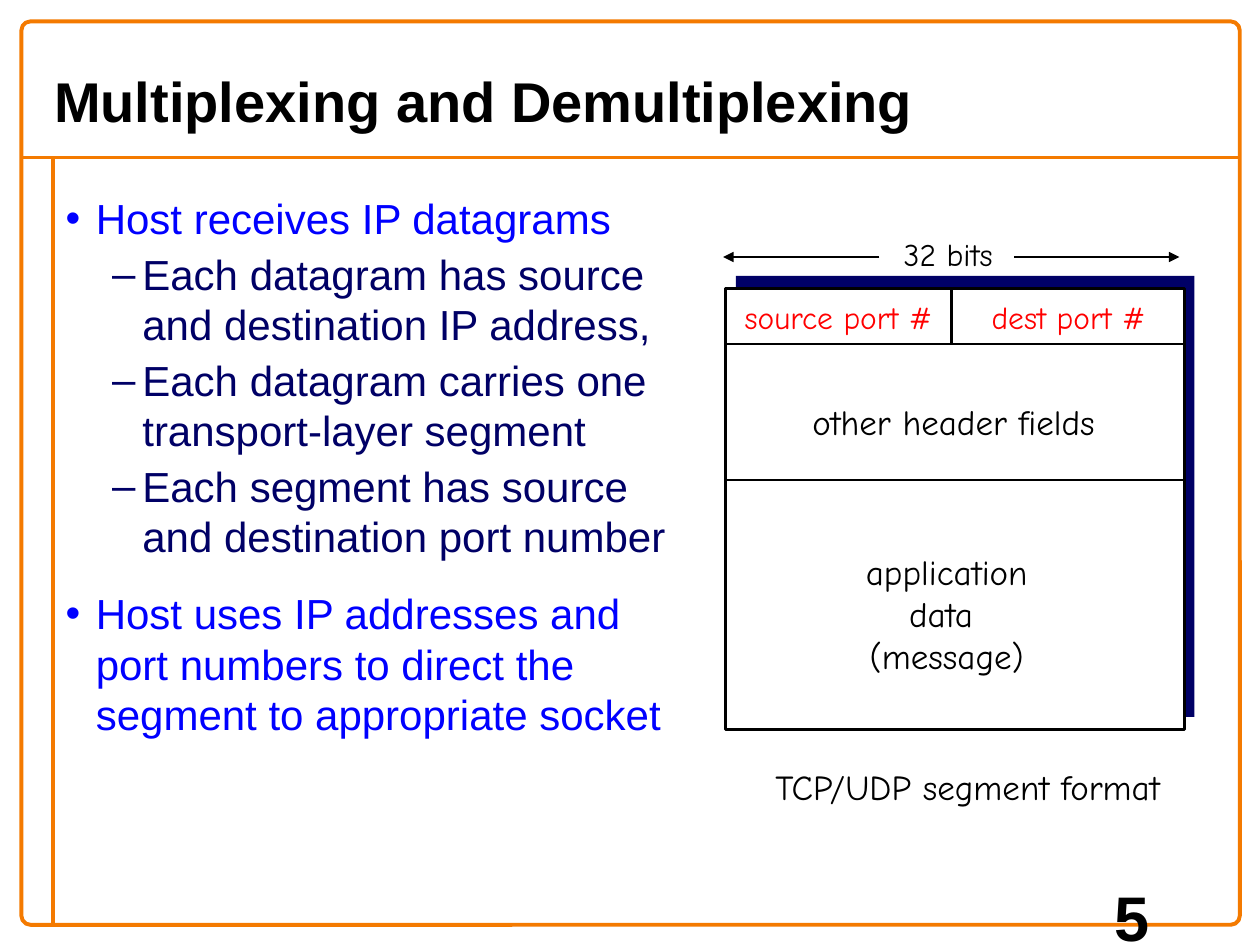
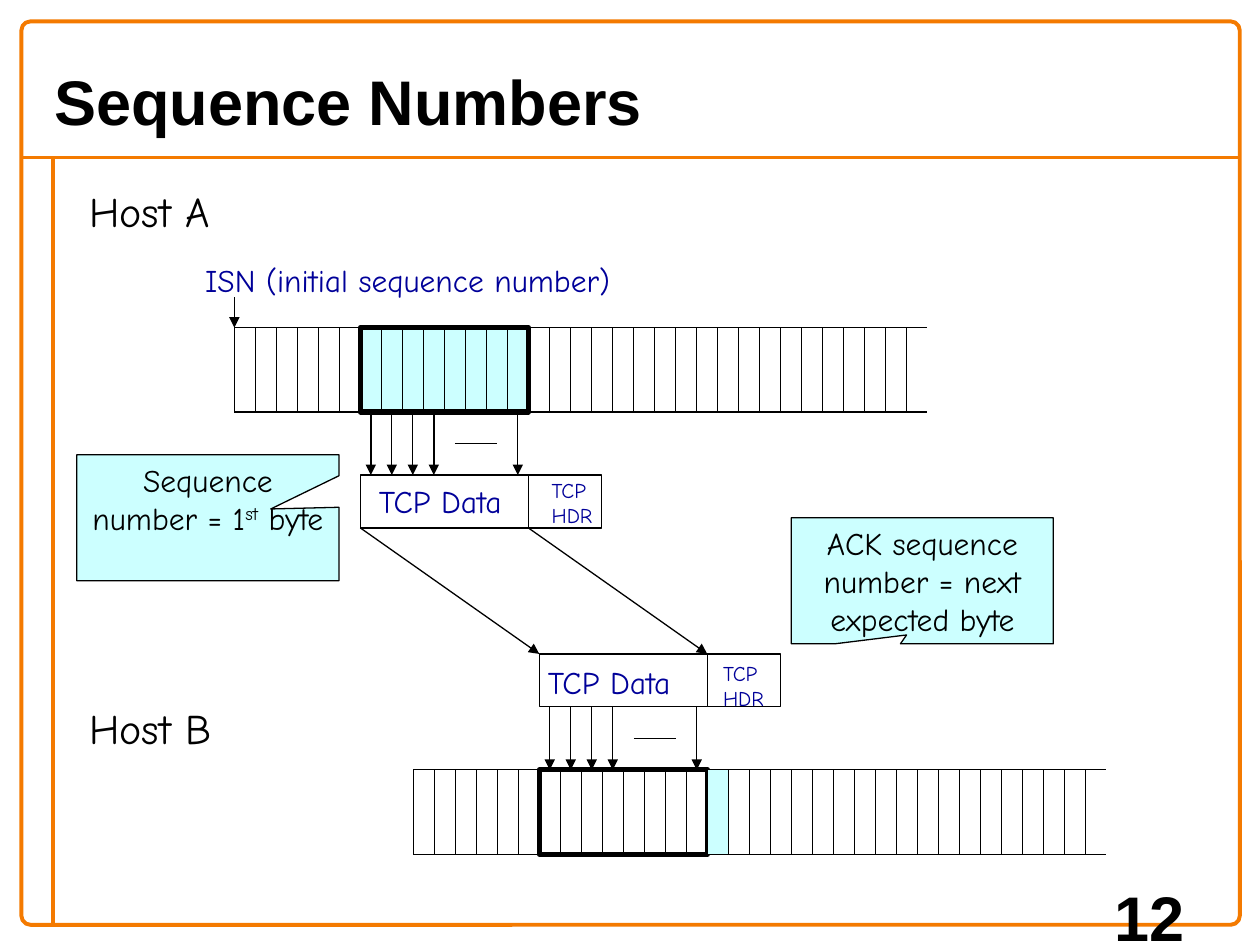
"""Build two slides on transport-layer segments and sequence numbers."""
from lxml import etree
from pptx import Presentation
from pptx import util as u
from pptx.dml.color import RGBColor
from pptx.enum import shapes, text
from pptx.oxml.ns import qn

ORANGE = RGBColor(0xF4, 0x7A, 0x00)
BLACK = RGBColor(0x00, 0x00, 0x00)
WHITE = RGBColor(0xFF, 0xFF, 0xFF)
RED = RGBColor(0xFF, 0x00, 0x00)
BLUE = RGBColor(0x00, 0x00, 0xFF)
NAVY = RGBColor(0x00, 0x00, 0x66)
INK = RGBColor(0x00, 0x00, 0x99)
CYAN = RGBColor(0xCC, 0xFF, 0xFF)

SANS = "Arial"
HAND = "Comic Neue"
LEFT = text.PP_ALIGN.LEFT
CENTER = text.PP_ALIGN.CENTER
RECTANGLE = shapes.MSO_SHAPE.RECTANGLE
CALLOUT = shapes.MSO_SHAPE.RECTANGULAR_CALLOUT

CELL = 1 / 6
CELL_COUNT = 33
STREAM_HEIGHT = 0.67
FIRST_DATA_CELL = 6
DATA_CELLS = 8
DATA_WIDTH = DATA_CELLS * CELL
PACKET_HEIGHT = 0.42
HEADER_WIDTH = 0.58


def inches(*lengths):
    """Convert several lengths to Inches."""
    return [u.Inches(length) for length in lengths]


def add_run(paragraph, content, size, color, font=HAND, bold=False):
    """Append one formatted run to a paragraph."""
    run = paragraph.add_run()
    run.text = content
    run.font.name = font
    run.font.size = u.Pt(size)
    run.font.bold = bold
    run.font.color.rgb = color
    return run


def prepare_frame(shape, anchor=text.MSO_ANCHOR.TOP):
    """Give a text frame wrapping, a fixed size and an anchor."""
    frame = shape.text_frame
    frame.word_wrap = True
    frame.auto_size = text.MSO_AUTO_SIZE.NONE
    frame.vertical_anchor = anchor
    return frame


def add_label(slide, box, lines, size, color=BLACK, align=LEFT, font=HAND, bold=False):
    """Add a text box with one paragraph for each line."""
    frame = prepare_frame(slide.shapes.add_textbox(*inches(*box)))
    for index, line in enumerate(lines):
        paragraph = frame.add_paragraph() if index else frame.paragraphs[0]
        paragraph.alignment = align
        add_run(paragraph, line, size, color, font, bold)


def add_box(slide, box, fill=None, line=BLACK, width=0.75, kind=RECTANGLE):
    """Add a preset shape with optional fill and line."""
    shape = slide.shapes.add_shape(kind, *inches(*box))
    shape.shadow.inherit = False
    if fill is None:
        shape.fill.background()
    else:
        shape.fill.solid()
        shape.fill.fore_color.rgb = fill
    if line is None:
        shape.line.fill.background()
    else:
        shape.line.color.rgb = line
        shape.line.width = u.Pt(width)
    return shape


def add_line(slide, start, end, color=BLACK, width=0.75, arrow=False):
    """Add a straight line, with an arrowhead at its end if wanted."""
    line = slide.shapes.add_connector(shapes.MSO_CONNECTOR.STRAIGHT, *inches(*start, *end))
    line.line.color.rgb = color
    line.line.width = u.Pt(width)
    if arrow:
        etree.SubElement(line.line._get_or_add_ln(), qn("a:tailEnd"), type="triangle")
    etree.SubElement(line._element.spPr, qn("a:effectLst"))


def add_callout(slide, box, tip, pieces):
    """Add a cyan callout whose runs may be superscript."""
    shape = add_box(slide, box, CYAN, kind=CALLOUT)
    shape.adjustments[0], shape.adjustments[1] = tip
    paragraph = prepare_frame(shape).paragraphs[0]
    paragraph.alignment = CENTER
    for content, raised in pieces:
        run = add_run(paragraph, content, 18, BLACK)
        if raised:
            run.font._element.set("baseline", "30000")


def add_base_slide(presentation, layout, title, title_size, number):
    """Add a slide with the shared frame, title and page number."""
    slide = presentation.slides.add_slide(presentation.slide_layouts[layout])
    add_line(slide, (0.17, 1.25), (9.83, 1.25), ORANGE, 2.25)
    add_line(slide, (0.42, 1.25), (0.42, 7.33), ORANGE, 2.25)
    frame = add_box(slide, (0.17, 0.17, 9.67, 7.17), None, ORANGE, 2.25,
                    shapes.MSO_SHAPE.ROUNDED_RECTANGLE)
    frame.adjustments[0] = 0.01
    add_label(slide, (8.75, 6.92, 1, 0.41), [number], 36, font=SANS, bold=True)
    holder = slide.shapes.title
    holder.left, holder.top, holder.width, holder.height = inches(0.33, 0.42, 8.82, 0.75)
    paragraph = prepare_frame(holder, text.MSO_ANCHOR.MIDDLE).paragraphs[0]
    paragraph.alignment = LEFT
    add_run(paragraph, title, title_size, BLACK, SANS, True)
    return slide


def set_bullet(paragraph, mark, color, margin):
    """Set the bullet mark, its colour and a hanging indent."""
    properties = paragraph._p.get_or_add_pPr()
    properties.set("marL", str(u.Inches(margin)))
    properties.set("indent", str(u.Inches(-0.24)))
    bullet_color = etree.SubElement(properties, qn("a:buClr"))
    etree.SubElement(bullet_color, qn("a:srgbClr"), val=str(color))
    etree.SubElement(properties, qn("a:buChar"), char=mark)


def fill_body(slide, box, items):
    """Fill the body placeholder with (level, space before, text) items."""
    styles = [("•", BLUE, 0.24), ("–", NAVY, 0.61)]
    body = slide.placeholders[1]
    body.left, body.top, body.width, body.height = inches(*box)
    frame = prepare_frame(body)
    for index, (level, space, content) in enumerate(items):
        paragraph = frame.add_paragraph() if index else frame.paragraphs[0]
        mark, color, margin = styles[level]
        paragraph.level = level
        paragraph.space_before = u.Pt(space)
        set_bullet(paragraph, mark, color, margin)
        add_run(paragraph, content, 24, color, SANS)


def add_segment_format(slide):
    """Draw the segment layout with its width arrow and caption."""
    left, top, width, height = 5.76, 2.29, 3.64, 3.5
    right = left + width
    add_box(slide, (5.84, 2.19, width, height), NAVY, None)
    add_box(slide, (left, top, width, height), WHITE, width=1.5)
    for row in (2.73, 3.81):
        add_line(slide, (left, row), (right, row), width=1.5)
    add_line(slide, (7.55, 2.73), (7.55, top), width=1.5)
    for start, end in ((8.05, 9.36), (6.98, 5.74)):
        add_line(slide, (start, 2.04), (end, 2.04), width=1.5, arrow=True)
    for box, lines, size, color in [
        ((5.7, 2.32, 1.91, 0.4), ["source port #"], 18, RED),
        ((7.67, 2.32, 1.62, 0.4), ["dest port #"], 18, RED),
        ((7, 1.82, 1.05, 0.4), ["32 bits"], 18, BLACK),
        ((6.65, 4.32, 1.73, 1.1), ["application", "data ", "(message)"], 20, BLACK),
        ((6.15, 3.13, 2.84, 0.44), ["other header fields"], 20, BLACK),
        ((5.82, 6.03, 3.72, 0.44), ["TCP/UDP segment format"], 20, BLACK),
    ]:
        add_label(slide, box, lines, size, color, CENTER)


def add_stream(slide, left, top, fill=None):
    """Draw a byte stream with its data cells outlined."""
    bottom = top + STREAM_HEIGHT
    data_left = left + FIRST_DATA_CELL * CELL
    add_box(slide, (data_left, top, DATA_WIDTH, STREAM_HEIGHT), fill, width=3)
    for edge in (top, bottom):
        add_line(slide, (left, edge), (left + CELL_COUNT * CELL, edge))
    for index in range(CELL_COUNT):
        x = left + index * CELL
        add_line(slide, (x, top), (x, bottom))


def add_byte_arrows(slide, stream_left, top, bottom):
    """Draw arrows for the first four bytes and the last, with a dash between."""
    first = stream_left + (FIRST_DATA_CELL + 0.5) * CELL
    for index in (0, 1, 2, 3, DATA_CELLS - 1):
        x = first + index * CELL
        add_line(slide, (x, top), (x, bottom), arrow=True)
    middle = (top + bottom) / 2
    add_line(slide, (first + 4 * CELL, middle), (first + 6 * CELL, middle))


def add_packet(slide, left, top, data_label, header_label):
    """Draw a TCP packet with labels at the given positions."""
    add_box(slide, (left, top, DATA_WIDTH, PACKET_HEIGHT), WHITE)
    add_box(slide, (left + DATA_WIDTH, top, HEADER_WIDTH, PACKET_HEIGHT), WHITE)
    add_label(slide, (*data_label, 1.34, 0.4), ["TCP Data"], 18, INK)
    add_label(slide, (*header_label, 0.57, 0.5), ["TCP", "HDR"], 12, INK)


def build_multiplexing(presentation):
    """Build the multiplexing slide."""
    slide = add_base_slide(presentation, 1, "Multiplexing and Demultiplexing", 32, "5")
    fill_body(slide, (0.42, 1.48, 5.08, 5.5), [
        (0, 0, "Host receives IP datagrams"),
        (1, 3, "Each datagram has source and destination IP address,"),
        (1, 3, "Each datagram carries one transport-layer segment"),
        (1, 3, "Each segment has source and destination port number"),
        (0, 15, "Host uses IP addresses and port numbers to direct the "
                "segment to appropriate socket"),
    ])
    add_segment_format(slide)


def build_sequence_numbers(presentation):
    """Build the sequence number slide."""
    slide = add_base_slide(presentation, 5, "Sequence Numbers", 36, "12")
    sender_left, sender_top = 1.86, 2.6
    receiver_left, receiver_top = 3.28, 6.11
    sent_top, received_top = 3.77, 5.19
    sent_left = sender_left + FIRST_DATA_CELL * CELL
    received_left = receiver_left + FIRST_DATA_CELL * CELL
    sent_bottom = sent_top + PACKET_HEIGHT

    add_stream(slide, sender_left, sender_top, CYAN)
    add_stream(slide, receiver_left, receiver_top)
    add_box(slide, (received_left + DATA_WIDTH, receiver_top, CELL, STREAM_HEIGHT), CYAN)
    add_packet(slide, sent_left, sent_top, (2.91, 3.78), (4.28, 3.74))
    add_packet(slide, received_left, received_top, (4.25, 5.21), (5.64, 5.19))
    for offset in (0, DATA_WIDTH):
        add_line(slide, (sent_left + offset, sent_bottom),
                 (received_left + offset, received_top), arrow=True)
    add_byte_arrows(slide, sender_left, sender_top + STREAM_HEIGHT, sent_top)
    add_byte_arrows(slide, receiver_left, received_top + PACKET_HEIGHT, receiver_top)

    add_label(slide, (0.61, 1.42, 1.29, 0.5), ["Host A"], 24)
    add_label(slide, (0.61, 5.53, 1.29, 0.5), ["Host B"], 24)
    add_label(slide, (1.53, 2.02, 3.92, 0.4), ["ISN (initial sequence number)"], 18, INK)
    add_line(slide, (sender_left, 2.36), (sender_left, sender_top), arrow=True)
    add_callout(slide, (0.61, 3.61, 2.08, 1), (0.24, -0.07),
                [("Sequence number = 1", False), ("st", True), (" byte", False)])
    add_callout(slide, (6.28, 4.11, 2.08, 1), (-0.06, 0.43),
                [("ACK sequence number = next expected byte", False)])


def main():
    """Build and save the presentation."""
    presentation = Presentation()
    presentation.slide_width, presentation.slide_height = inches(10, 7.5)
    build_multiplexing(presentation)
    build_sequence_numbers(presentation)
    presentation.save("out.pptx")


if __name__ == "__main__":
    main()
